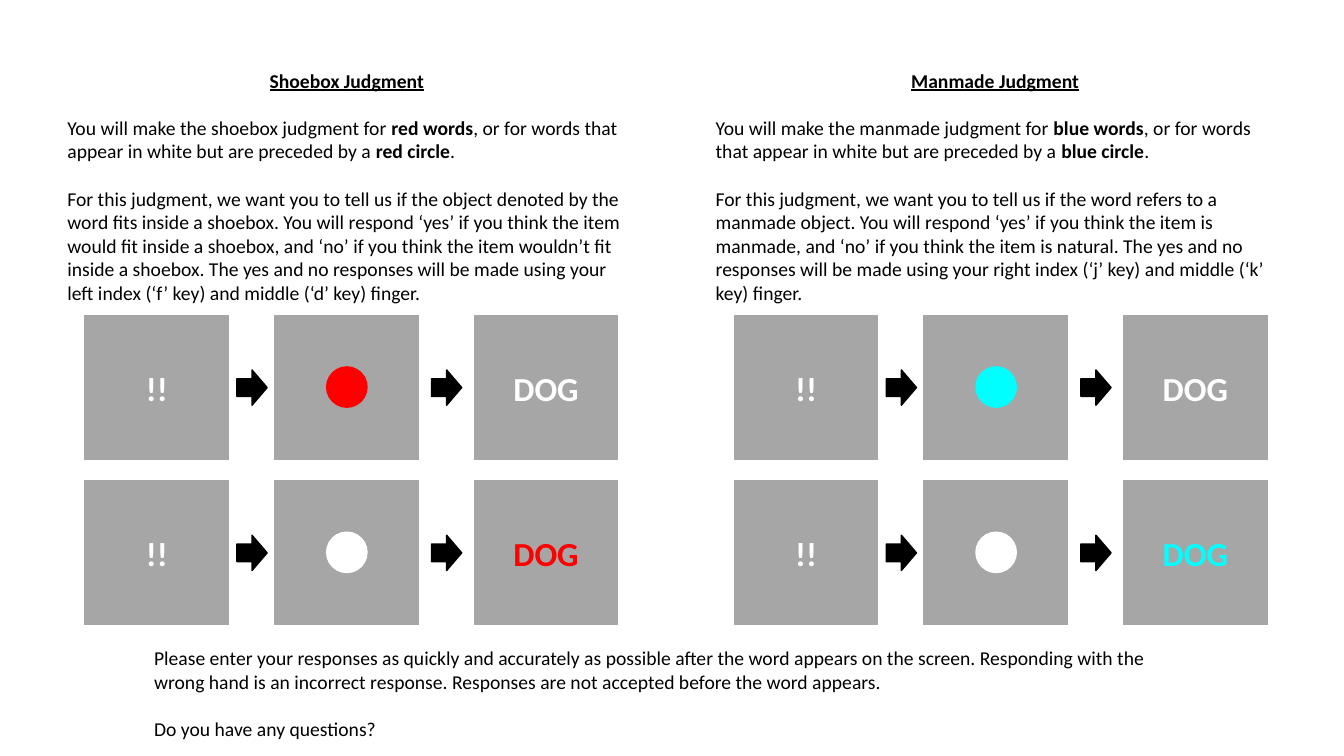
import pptx
import pptx.dml.color
import pptx.enum.shapes
import pptx.enum.text
import pptx.util

PX = 9144  # 100 px to the inch
SHAPE = pptx.enum.shapes.MSO_SHAPE
ALIGN = pptx.enum.text.PP_ALIGN

THEME = {
    "font": "Calibri",
    "body_size": pptx.util.Pt(14),
    "stimulus_size": pptx.util.Pt(24),
    "paragraph_gap": pptx.util.Pt(17),
    "outline": pptx.util.Pt(1),
    "black": pptx.dml.color.RGBColor.from_string("000000"),
    "white": pptx.dml.color.RGBColor.from_string("FFFFFF"),
    "screen": pptx.dml.color.RGBColor.from_string("A6A6A6"),
    "red": pptx.dml.color.RGBColor.from_string("FF0000"),
    "blue": pptx.dml.color.RGBColor.from_string("00FFFF"),
}

presentation = pptx.Presentation()
presentation.slide_width = 1333 * PX
presentation.slide_height = 750 * PX
slide = presentation.slides.add_slide(presentation.slide_layouts[6])


def add_text(box, paragraphs):
    """Write paragraphs of (text, font format) runs into a wrapping text box."""
    left, top, width, height = (length * PX for length in box)
    frame = slide.shapes.add_textbox(left, top, width, height).text_frame
    frame.word_wrap = True
    frame.auto_size = pptx.enum.text.MSO_AUTO_SIZE.SHAPE_TO_FIT_TEXT
    for index, (alignment, runs) in enumerate(paragraphs):
        paragraph = frame.add_paragraph() if index else frame.paragraphs[0]
        paragraph.alignment = alignment
        if index:
            paragraph.space_before = THEME["paragraph_gap"]
        for text, extra in runs:
            run = paragraph.add_run()
            run.text = text
            run.font.color.rgb = THEME["black"]
            style = {"name": THEME["font"], "size": THEME["body_size"], **extra}
            for attribute, value in style.items():
                setattr(run.font, attribute, value)


def add_figure(kind, box, fill, line, word="", word_color="white"):
    """Draw a filled shape, with a centred stimulus word if there is one."""
    figure = slide.shapes.add_shape(kind, *(length * PX for length in box))
    figure.shadow.inherit = False
    figure.fill.solid()
    figure.fill.fore_color.rgb = THEME[fill]
    figure.line.color.rgb = THEME[line]
    figure.line.width = THEME["outline"]
    if word:
        figure.text_frame.vertical_anchor = pptx.enum.text.MSO_ANCHOR.MIDDLE
        paragraph = figure.text_frame.paragraphs[0]
        paragraph.alignment = ALIGN.CENTER
        run = paragraph.add_run()
        run.text = word
        run.font.color.rgb = THEME[word_color]
        style = {"name": THEME["font"], "size": THEME["stimulus_size"], "bold": True}
        for attribute, value in style.items():
            setattr(run.font, attribute, value)


JUDGMENTS = [
    {
        "name": "Shoebox", "color": "red", "text_left": 57, "trial_left": 83,
        "task": "For this judgment, we want you to tell us if the object denoted by the "
                "word fits inside a shoebox. You will respond ‘yes’ if you think the item "
                "would fit inside a shoebox, and ‘no’ if you think the item wouldn’t fit "
                "inside a shoebox. The yes and no responses will be made using your left "
                "index (‘f’ key) and middle (‘d’ key) finger.",
    },
    {
        "name": "Manmade", "color": "blue", "text_left": 700, "trial_left": 727,
        "task": "For this judgment, we want you to tell us if the word refers to a manmade "
                "object. You will respond ‘yes’ if you think the item is manmade, and ‘no’ "
                "if you think the item is natural. The yes and no responses will be made "
                "using your right index (‘j’ key) and middle (‘k’ key) finger.",
    },
]
SCREEN = 145
CIRCLE = 40
CUE_OFFSET, WORD_OFFSET = 188, 386
ARROW_OFFSETS = (152, 345)

for judgment in JUDGMENTS:
    name, color = judgment["name"], judgment["color"]

    # Instructions
    add_text((judgment["text_left"], 63, 574, 246), [
        (ALIGN.CENTER, [(f"{name} Judgment", {"bold": True, "underline": True})]),
        (ALIGN.LEFT, [
            (f"You will make the {name.lower()} judgment for ", {}),
            (f"{color} words", {"bold": True}),
            (", or for words that appear in white but are preceded by a ", {}),
            (f"{color} circle", {"bold": True}),
            (".", {}),
        ]),
        (ALIGN.LEFT, [(judgment["task"], {})]),
    ])

    # Example trials: coloured cue first, then coloured word
    left = judgment["trial_left"]
    for top, cue_color, word_color in ((312, color, "white"), (476, "white", color)):
        for offset, word in ((0, "!!"), (CUE_OFFSET, ""), (WORD_OFFSET, "DOG")):
            add_figure(SHAPE.RECTANGLE, (left + offset, top, SCREEN, SCREEN), "screen",
                       "white", word, word_color if word == "DOG" else "white")
        add_figure(SHAPE.OVAL, (left + CUE_OFFSET + 53, top + 52, CIRCLE, CIRCLE),
                   cue_color, cue_color)
        for offset in ARROW_OFFSETS:
            add_figure(SHAPE.RIGHT_ARROW, (left + offset, top + 55, 30, 35),
                       "black", "black")

# Closing note
add_text((143, 636, 1030, 104), [
    (ALIGN.LEFT, [("Please enter your responses as quickly and accurately as possible after "
                   "the word appears on the screen. Responding with the wrong hand is an "
                   "incorrect response. Responses are not accepted before the word "
                   "appears.", {})]),
    (ALIGN.LEFT, [("Do you have any questions?", {})]),
])

presentation.save("out.pptx")
